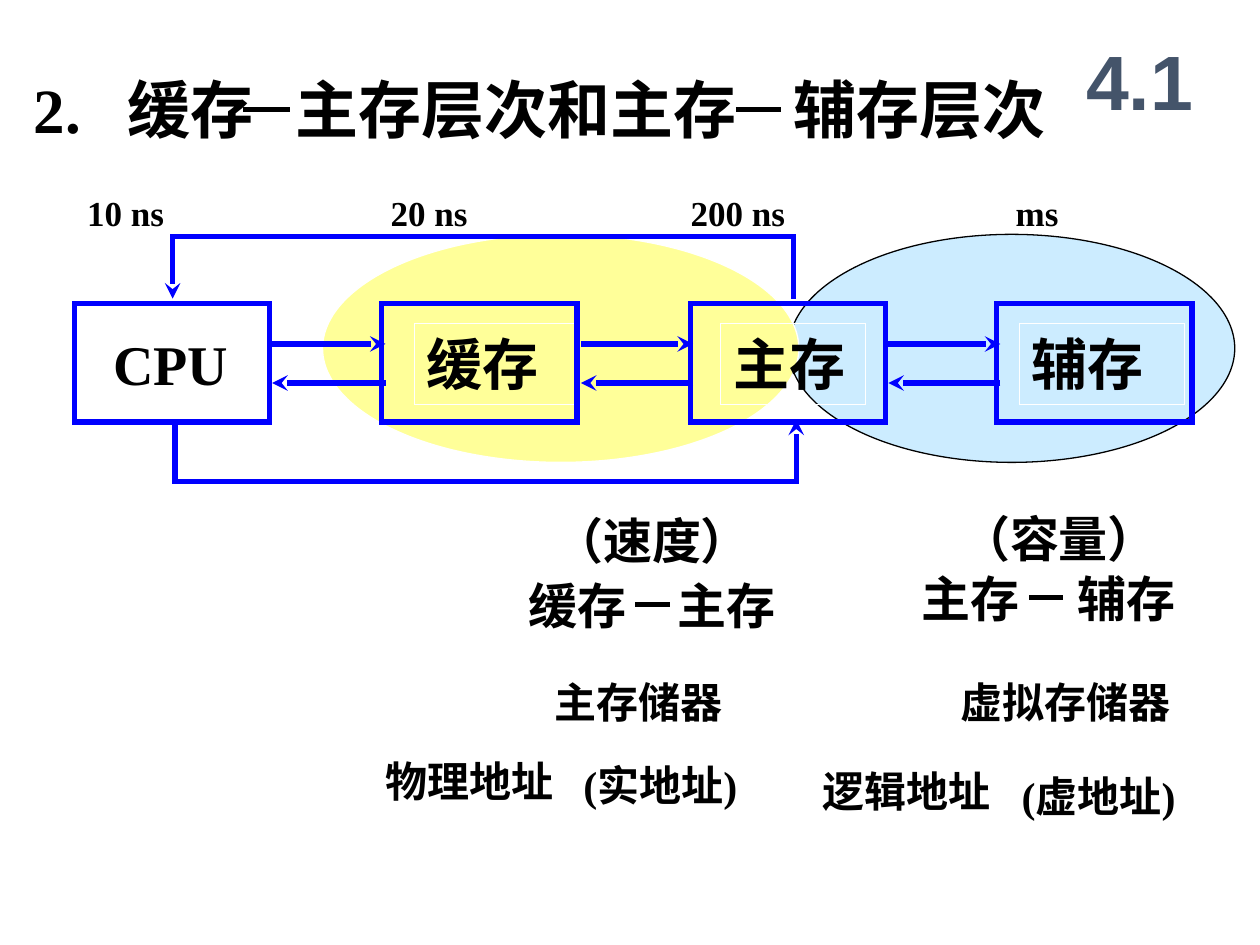
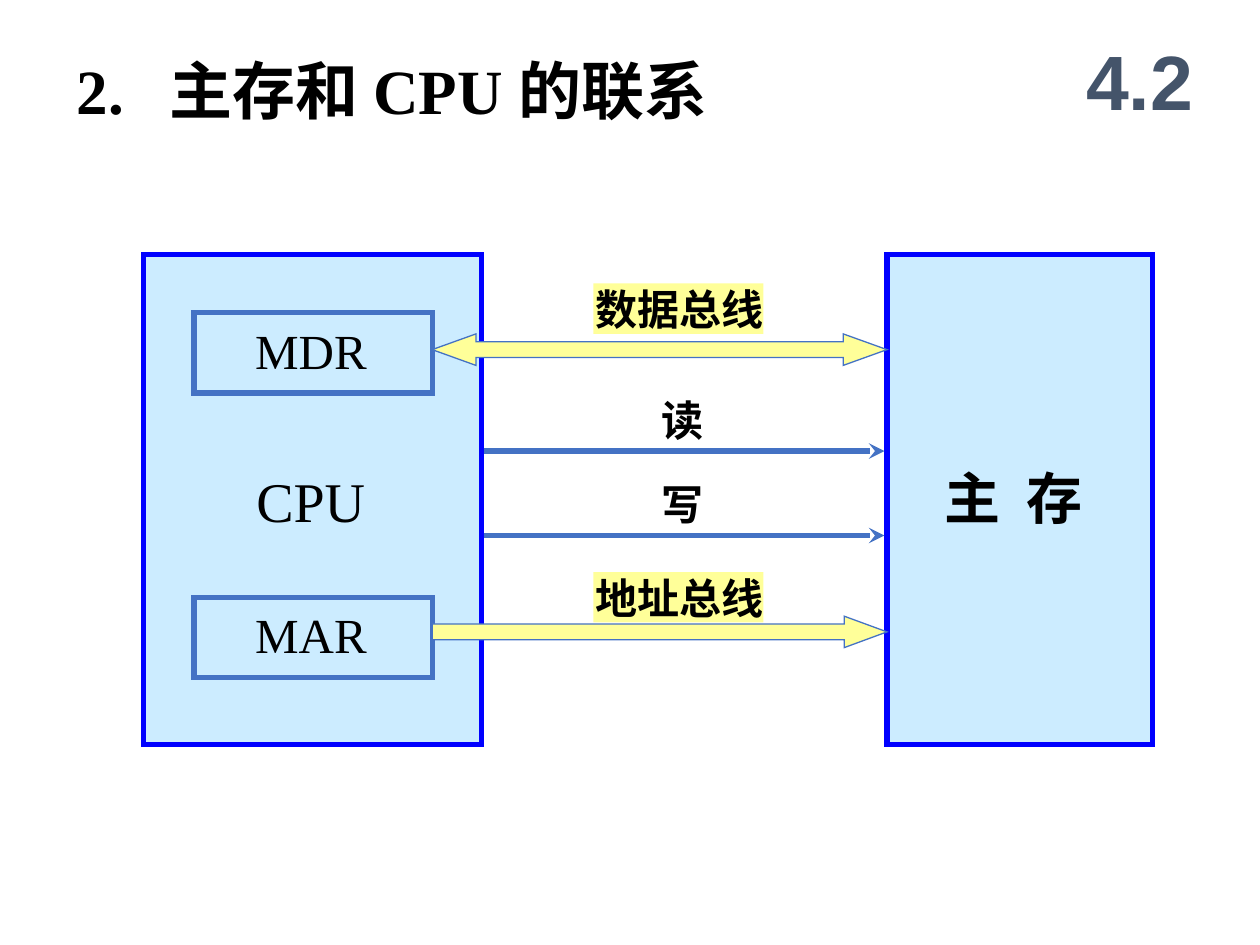
from dataclasses import dataclass
from typing import Optional

from lxml import etree
from pptx import Presentation
from pptx import util as u
from pptx.dml import color as c
from pptx.enum import shapes, text
from pptx.oxml.ns import qn

PX = 9144  # one hundredth of an inch


@dataclass(frozen=True)
class Theme:
    ink: str = "000000"
    white: str = "FFFFFF"
    blue: str = "0000FF"
    steel: str = "4472C4"
    slate: str = "44546A"
    sky: str = "CCECFF"
    lemon: str = "FFFF99"
    serif: str = "Times New Roman"
    sans: str = "Arial"
    chinese: str = "Noto Sans CJK SC"
    badge: int = 44
    title: int = 36
    node: int = 32
    level: int = 28
    term: int = 24
    time: int = 20
    thick: float = 3
    thin: float = 0.75


THEME = Theme()
LEFT, CENTER, RIGHT = (text.PP_ALIGN.LEFT, text.PP_ALIGN.CENTER, text.PP_ALIGN.RIGHT)
KIND = shapes.MSO_SHAPE


@dataclass(frozen=True)
class Label:
    words: str
    x: int
    y: int
    width: int
    height: int
    size: int
    font: str = THEME.serif
    color: str = THEME.ink
    bold: bool = True
    align: text.PP_ALIGN = RIGHT
    wrap: bool = False
    grow: bool = True
    padded: bool = True
    middle: bool = False
    fill: Optional[str] = None
    line: Optional[str] = None
    tabs: tuple[int, ...] = ()


@dataclass(frozen=True)
class Block:
    x: int
    y: int
    width: int
    height: int
    fill: Optional[str]
    line: str
    weight: float = THEME.thick
    kind: shapes.MSO_SHAPE = KIND.RECTANGLE
    adjust: tuple[float, ...] = ()


@dataclass(frozen=True)
class Line:
    x1: int
    y1: int
    x2: int
    y2: int
    color: str
    arrow: bool = True


# Drawing helpers
def px(*lengths: int) -> list[u.Emu]:
    return [u.Emu(length * PX) for length in lengths]


def paint(shape, fill: Optional[str], line: Optional[str], weight: float) -> None:
    if fill:
        shape.fill.solid()
        shape.fill.fore_color.rgb = c.RGBColor.from_string(fill)
    else:
        shape.fill.background()
    if line:
        stroke(shape, line, weight)


def stroke(shape, color: str, weight: float, arrow: bool = False) -> None:
    shape.line.color.rgb = c.RGBColor.from_string(color)
    shape.line.width = u.Pt(weight)
    outline = shape.element.spPr.find(qn("a:ln"))
    etree.SubElement(outline, qn("a:miter"), lim="800000")
    if arrow:
        etree.SubElement(outline, qn("a:tailEnd"), type="stealth")


def draw_label(page, label: Label) -> None:
    box = page.shapes.add_textbox(*px(label.x, label.y, label.width, label.height))
    paint(box, label.fill, label.line, THEME.thin)
    frame = box.text_frame
    frame.word_wrap = label.wrap
    frame.auto_size = (text.MSO_AUTO_SIZE.SHAPE_TO_FIT_TEXT if label.grow
                       else text.MSO_AUTO_SIZE.NONE)
    if label.middle:
        frame.vertical_anchor = text.MSO_ANCHOR.MIDDLE
    side, edge = px(10, 5) if label.padded else px(0, 0)
    frame.margin_left = frame.margin_right = side
    frame.margin_top = frame.margin_bottom = edge
    para = frame.paragraphs[0]
    para.alignment = label.align
    if label.tabs:
        stops = etree.SubElement(para._p.get_or_add_pPr(), qn("a:tabLst"))
        for stop in label.tabs:
            etree.SubElement(stops, qn("a:tab"), pos=str(stop * PX), algn="l")
    span = para.add_run()
    span.text = label.words
    span.font.name = label.font
    span.font.size = u.Pt(label.size)
    span.font.bold = label.bold
    span.font.color.rgb = c.RGBColor.from_string(label.color)
    etree.SubElement(span._r.get_or_add_rPr(), qn("a:ea"), typeface=THEME.chinese)


def draw_block(page, block: Block) -> None:
    shape = page.shapes.add_shape(
        block.kind, *px(block.x, block.y, block.width, block.height))
    shape.shadow.inherit = False
    paint(shape, block.fill, block.line, block.weight)
    for index, value in enumerate(block.adjust):
        shape.adjustments[index] = value


def draw_line(page, line: Line) -> None:
    connector = page.shapes.add_connector(
        shapes.MSO_CONNECTOR.STRAIGHT, *px(line.x1, line.y1, line.x2, line.y2))
    stroke(connector, line.color, THEME.thick, line.arrow)
    etree.SubElement(connector.element.spPr, qn("a:effectLst"))


def draw_detour(page, points: list[tuple[int, int]]) -> None:
    builder = page.shapes.build_freeform(*points[0], scale=PX)
    builder.add_line_segments(points[1:], close=False)
    shape = builder.convert_to_shape()
    shape.shadow.inherit = False
    shape.fill.background()
    stroke(shape, THEME.blue, THEME.thick, arrow=True)


def draw_heading(page, title: Label, section: str) -> None:
    draw_label(page, title)
    draw_label(page, Label(section, 842, 17, 125, 92, THEME.badge, THEME.sans,
                           THEME.slate, align=CENTER, wrap=True, grow=False,
                           middle=True))


# Slide: storage hierarchy
def build_hierarchy(page) -> None:
    draw_block(page, Block(626, 186, 354, 181, THEME.sky, THEME.ink,
                           THEME.thin, KIND.OVAL))
    draw_block(page, Block(256, 186, 378, 181, THEME.lemon, THEME.white,
                           THEME.thin, KIND.OVAL))

    # Four storage nodes
    nodes = [("CPU", 59, 80, 134), ("缓存", 303, 329, 131),
             ("主存", 548, 572, 115), ("辅存", 791, 809, 131)]
    for words, frame_x, label_x, width in nodes:
        draw_label(page, Label(words, label_x, 257, width, 64, THEME.node,
                               align=LEFT, wrap=True, line=THEME.white))
        draw_block(page, Block(frame_x, 241, 155, 94, None, THEME.blue))

    # Transfers between neighbours, and between CPU and main memory
    draw_detour(page, [(139, 333), (139, 382), (632, 382), (632, 333)])
    draw_detour(page, [(630, 237), (630, 188), (137, 188), (137, 237)])
    for left, right in [(216, 306), (461, 550), (705, 794)]:
        draw_line(page, Line(left, 273, right, 273, THEME.blue))
        draw_line(page, Line(right, 304, left, 304, THEME.blue))

    # Title and the dashes in its gaps
    draw_heading(page, Label("2.\t缓存\t主存层次和主存\t辅存层次", 17, 51, 836, 70,
                             THEME.title, align=LEFT, wrap=True,
                             tabs=(74, 208, 603)), "4.1")
    for x1, x2, y in [(193, 230, 87), (584, 620, 87),
                      (504, 532, 480), (817, 844, 474)]:
        draw_line(page, Line(x1, y, x2, y, THEME.ink, arrow=False))

    # Access times
    for words, x, width in [("10 ns", 59, 81), ("20 ns", 300, 81),
                            ("200 ns", 538, 95), ("ms", 796, 54)]:
        draw_label(page, Label(words, x, 147, width, 44, THEME.time))

    # Levels and their purpose
    for words, x, y, width in [("（速度）", 427, 400, 178), ("（容量）", 750, 399, 178),
                               ("缓存", 407, 452, 100), ("主存", 525, 452, 100),
                               ("主存", 719, 446, 100), ("辅存", 843, 446, 100)]:
        draw_label(page, Label(words, x, y, width, 57, THEME.level))

    # Memories and addresses
    for words, x, y, width in [("主存储器", 427, 532, 156), ("虚拟存储器", 750, 532, 189),
                               ("物理地址", 293, 595, 156), ("(实地址)", 437, 598, 158),
                               ("逻辑地址", 640, 603, 156), ("(虚地址)", 780, 607, 163)]:
        draw_label(page, Label(words, x, y, width, 50, THEME.term))


# Slide: main memory and CPU
def build_connection(page) -> None:
    draw_heading(page, Label("2.\t主存和 CPU 的联系", 51, 36, 646, 70, THEME.title,
                             align=LEFT, wrap=True, tabs=(74,)), "4.2")

    # CPU with its two registers
    draw_block(page, Block(114, 202, 268, 389, THEME.sky, THEME.blue))
    for words, y in [("MDR", 248), ("MAR", 474)]:
        draw_block(page, Block(154, y, 189, 64, THEME.sky, THEME.steel))
        draw_label(page, Label(words, 202, y + 6, 89, 47, THEME.level, bold=False,
                               padded=False, fill=THEME.sky))
    draw_label(page, Label("CPU", 203, 370, 87, 53, THEME.node, bold=False,
                           padded=False, fill=THEME.sky))

    # Main memory
    draw_block(page, Block(704, 202, 211, 389, THEME.sky, THEME.blue))
    draw_label(page, Label("主\t存", 740, 363, 139, 64, THEME.node, align=LEFT,
                           wrap=True, fill=THEME.sky, tabs=(65,)))

    # Control lines
    for words, y in [("读", 313), ("写", 380)]:
        draw_label(page, Label(words, 523, y, 35, 40, THEME.term, THEME.chinese,
                               padded=False))
        draw_line(page, Line(384, y + 45, 702, y + 45, THEME.steel))

    # Buses
    for words, label_y, arrow_y, kind, head in [
            ("数据总线", 225, 265, KIND.LEFT_RIGHT_ARROW, 1.39),
            ("地址总线", 454, 489, KIND.RIGHT_ARROW, 1.36)]:
        draw_label(page, Label(words, 471, label_y, 135, 40, THEME.term,
                               THEME.chinese, padded=False, fill=THEME.lemon))
        draw_block(page, Block(343, arrow_y, 361, 25, THEME.lemon, THEME.steel,
                               THEME.thin, kind, (0.5, head)))


def main() -> None:
    deck = Presentation()
    deck.slide_width, deck.slide_height = px(1000, 750)
    for build in (build_hierarchy, build_connection):
        build(deck.slides.add_slide(deck.slide_layouts[6]))
    deck.save("out.pptx")


if __name__ == "__main__":
    main()
